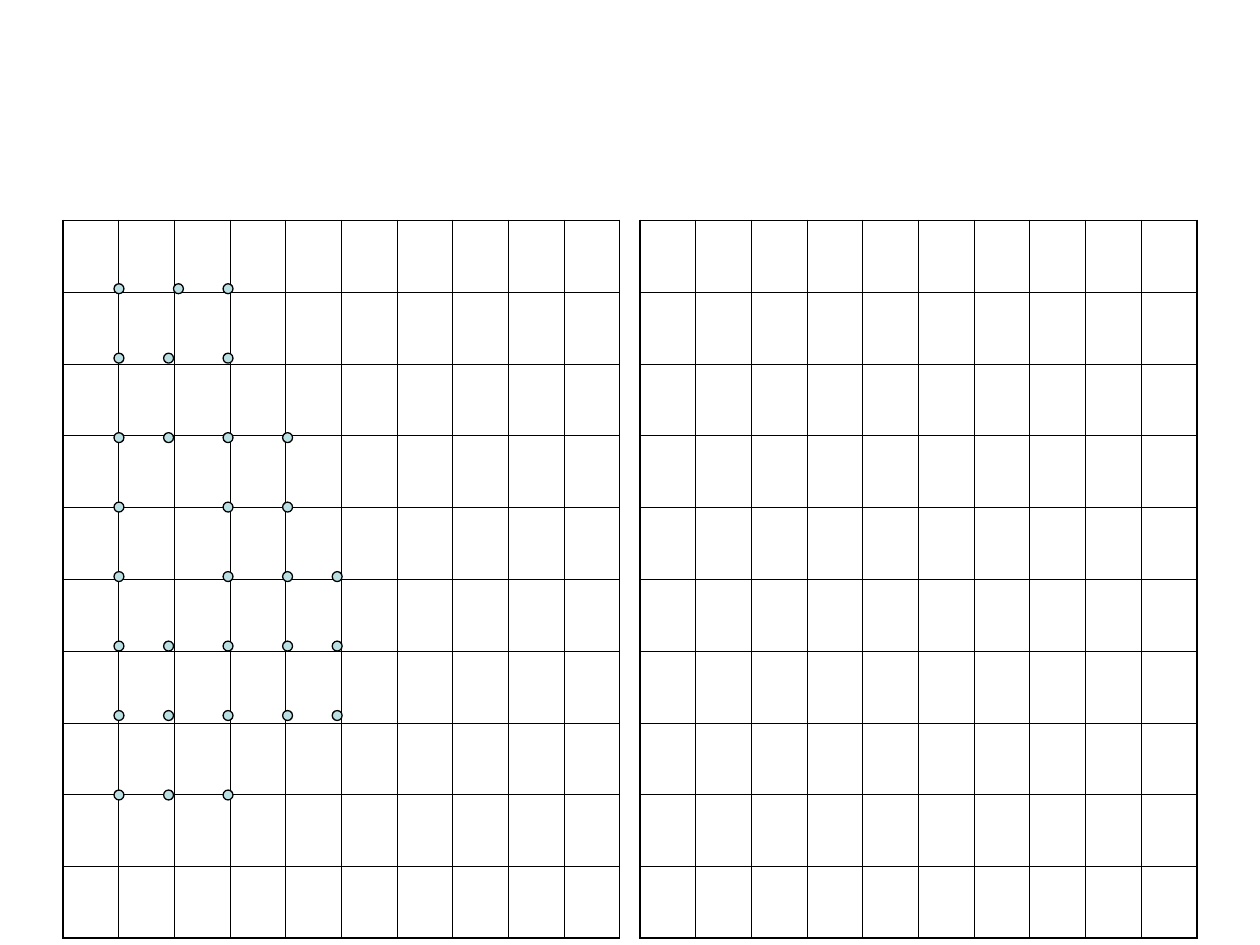
from itertools import accumulate

from lxml import etree
from pptx import Presentation
from pptx.dml.color import RGBColor
from pptx.enum import shapes
from pptx.oxml.ns import qn
from pptx.util import Pt

COUNT = 10
CELL_W, CELL_H = 31.83, 41.03
GRID_TOP = 126
THIN, THICK = 0.45, 1.08
DOT = 5.67

# Dot centres, from the first one and the gaps that follow
DOT_X = list(accumulate([68, 28.35, 34, 34, 28.35]))
DOT_Y = list(accumulate([165, 39.7, 45.4, 39.7, 39.7, 39.7, 39.7, 45.4]))
SHIFT_X = 102  # the one dot that stands off its column
DOT_ROWS = ["o-o", "ooo", "oooo", "o-oo", "o-ooo", "ooooo", "ooooo", "ooo"]


def color(code):
    return RGBColor.from_string(code)


def add_edge(cell, side, width):
    props = cell._tc.get_or_add_tcPr()
    edge = etree.SubElement(props, qn(f"a:ln{side}"), w=str(Pt(width)))
    fill = etree.SubElement(edge, qn("a:solidFill"))
    etree.SubElement(fill, qn("a:srgbClr"), val="000000")


def add_grid(slide, left):
    """Add an empty square grid with a heavier outer frame."""
    frame = slide.shapes.add_table(COUNT, COUNT, Pt(left), Pt(GRID_TOP),
                                   Pt(CELL_W * COUNT), Pt(CELL_H * COUNT))
    table = frame.table
    table.first_row = table.horz_banding = False
    for col in table.columns:
        col.width = Pt(CELL_W)
    last = COUNT - 1
    for r, row in enumerate(table.rows):
        row.height = Pt(CELL_H)
        for c, cell in enumerate(row.cells):
            outer = {"L": c == 0, "R": c == last, "T": r == 0, "B": r == last}
            for side, heavy in outer.items():
                add_edge(cell, side, THICK if heavy else THIN)
            cell.fill.background()


def add_dot(slide, x, y):
    dot = slide.shapes.add_shape(shapes.MSO_SHAPE.OVAL, Pt(x - DOT / 2),
                                 Pt(y - DOT / 2), Pt(DOT), Pt(DOT))
    dot.shadow.inherit = False
    dot.fill.solid()
    dot.fill.fore_color.rgb = color("BBE0E3")
    dot.line.color.rgb = color("000000")
    dot.line.width = Pt(0.75)


def main():
    deck = Presentation()
    deck.slide_width, deck.slide_height = Pt(720), Pt(540)
    slide = deck.slides.add_slide(deck.slide_layouts[6])
    for left in (36, 365.8):
        add_grid(slide, left)
    for y, marks in zip(DOT_Y, DOT_ROWS):
        for x, mark in zip(DOT_X, marks):
            if mark == "o":
                add_dot(slide, x, y)
    add_dot(slide, SHIFT_X, DOT_Y[0])
    deck.save("out.pptx")


if __name__ == "__main__":
    main()
